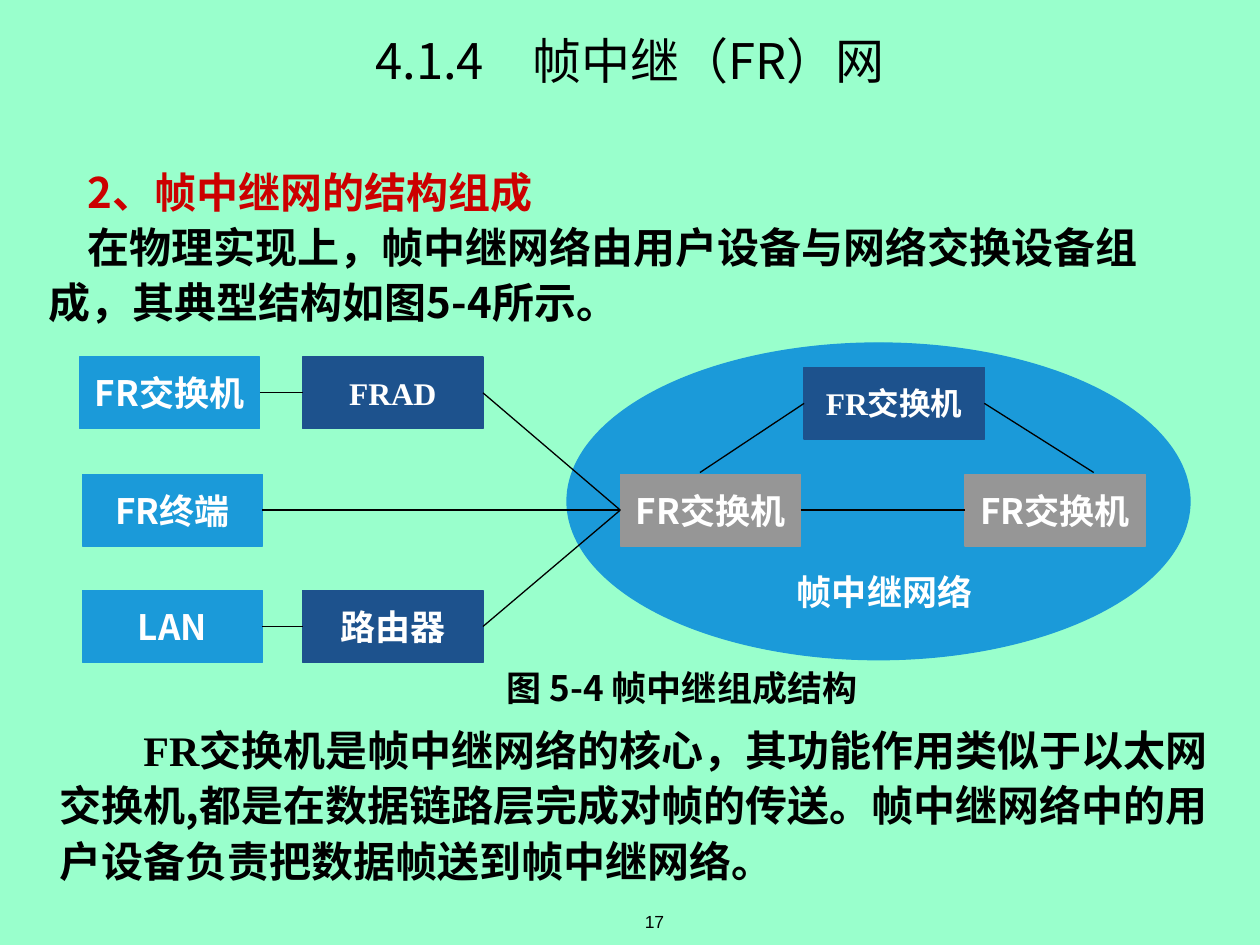
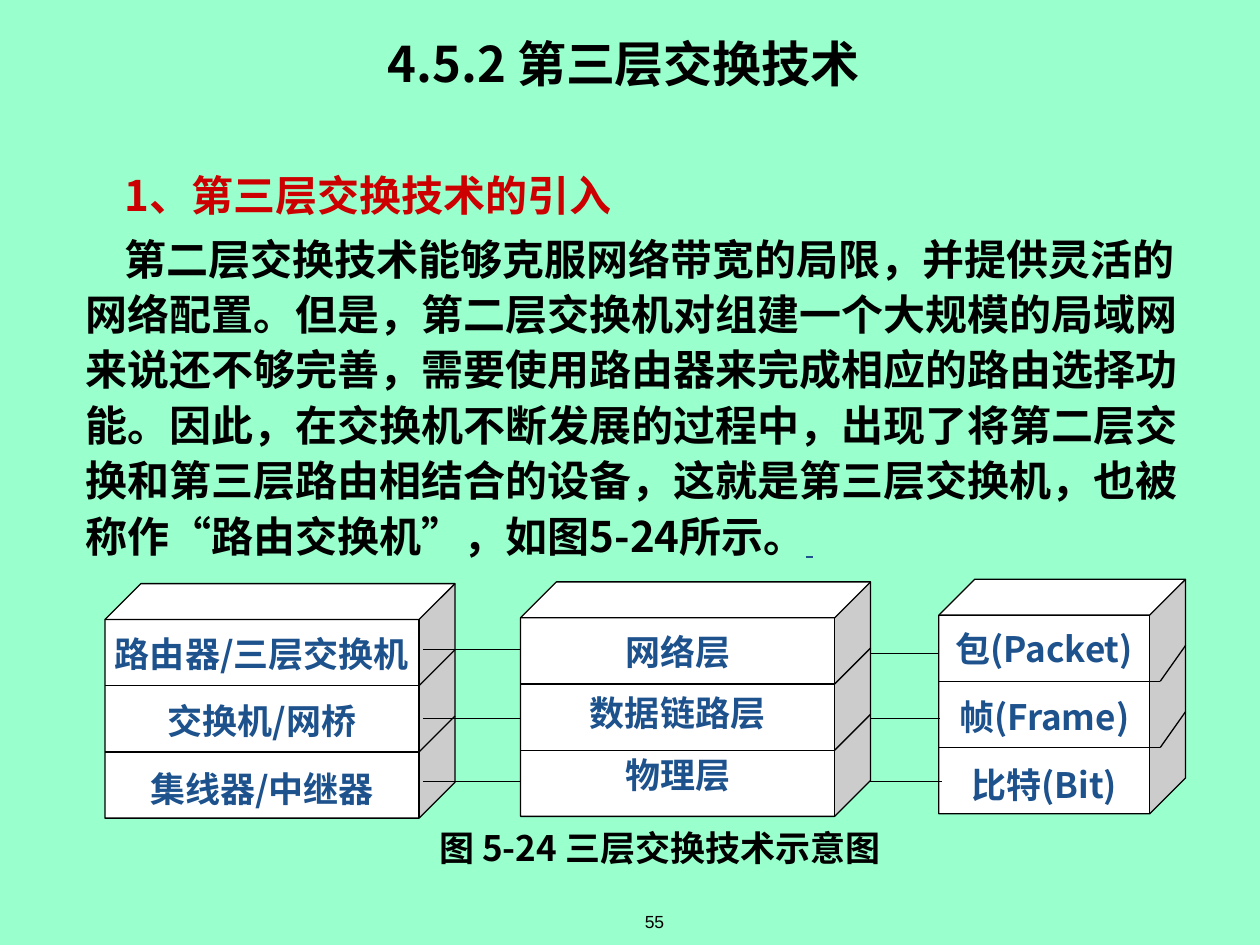
"""Builds two slides on frame relay networks and layer 3 switching."""
import pptx
import pptx.dml.color
import pptx.enum.shapes
import pptx.enum.text
import pptx.oxml.ns
import pptx.util
from lxml import etree

Pt = pptx.util.Pt
SHAPE = pptx.enum.shapes.MSO_SHAPE
ALIGN = pptx.enum.text.PP_ALIGN
ANCHOR = pptx.enum.text.MSO_ANCHOR
qn = pptx.oxml.ns.qn

MINT, BLACK, WHITE, RED = "99FFCC", "000000", "FFFFFF", "CC0000"
SKY, NAVY, GRAY = "1B9AD9", "1D528D", "969696"
SANS, SERIF, ARIAL = "Noto Sans CJK SC", "Times New Roman", "Arial"
HEADING_INDENT, ESSAY_INDENT = 22, 48

FR_TITLE = "4.1.4　帧中继（FR）网"
FR_INTRO = [
    ("2、帧中继网的结构组成", dict(color=RED)),
    ("在物理实现上，帧中继网络由用户设备与网络交换设备组成，其典型结构如图5-4所示。", {}),
]
FR_CAPTION = "图 5-4 帧中继组成结构"
FR_SUMMARY = [
    ("FR", dict(font=SERIF)),
    ("交换机是帧中继网络的核心，其功能作用类似于以太网交换机,都是在数据链路层完成对帧的传送。"
     "帧中继网络中的用户设备负责把数据帧送到帧中继网络。", {}),
]
CLOUD = (324, 196, 356, 181)
NODE_W, NODE_H = 103, 41
NODES = {
    "user": (45.5, 204, "FR交换机", SKY, {}),
    "frad": (173, 204, "FRAD", NAVY, dict(size=18, font=SERIF)),
    "terminal": (47, 271, "FR终端", SKY, {}),
    "lan": (47, 337.5, "LAN", SKY, {}),
    "router": (173, 337.5, "路由器", NAVY, {}),
    "entry": (354.5, 271, "FR交换机", GRAY, {}),
    "exit": (551.5, 271, "FR交换机", GRAY, {}),
    "top": (459.5, 210, "FR交换机", NAVY, dict(size=18, font=SERIF)),
}
SIDE_LINKS = [("user", "frad"), ("frad", "entry"), ("terminal", "entry"),
              ("lan", "router"), ("router", "entry"), ("entry", "exit")]
TOP_LINKS = [(1, 400, 270), (3, 625, 270)]

L3_TITLE = [("4.5.2 第三层交换技术", {}), (" ", dict(size=32))]
L3_HEADING = "1、第三层交换技术的引入"
L3_BODY = [
    ("第二层交换技术能够克服网络带宽的局限，并提供灵活的网络配置。但是，第二层交换机对组建一个"
     "大规模的局域网来说还不够完善，需要使用路由器来完成相应的路由选择功能。因此，在交换机不断"
     "发展的过程中，出现了将第二层交换和第三层路由相结合的设备，这就是第三层交换机，也被称作", {}),
    ("“", dict(font=ARIAL)),
    ("路由交换机", {}),
    ("”", dict(font=ARIAL)),
    ("，如图5-24所示。", {}),
    (" ", dict(size=18, font=ARIAL, color=NAVY, bold=False, underline=True)),
]
L3_CAPTION = "图 5-24 三层交换技术示意图"
CUBE_H, CUBE_DEPTH = 134, 0.153
DEVICES = (60, 333.5, 200, 0,
           [("路由器/三层交换机", 7.5), ("交换机/网桥", 7.5), ("集线器/中继器", 7.5)])
LAYERS = (297.5, 332.5, 200, 0, [("网络层", 3), ("数据链路层", 4), ("物理层", 4)])
UNITS = (536.5, 331, 141, 6, [("包(Packet)", 10), ("帧(Frame)", 7.5), ("比特(Bit)", 7.5)])
LINK_W = 70
LAYER_LINKS = [(242, 371), (242, 410.5), (242, 446.5),
               (466, 373.5), (467, 410.5), (468.5, 446.5)]


def rgb(code):
    return pptx.dml.color.RGBColor.from_string(code)


def write(s, text, size=20, font=SANS, color=BLACK, bold=True, underline=None,
          align=ALIGN.LEFT, spacing=1.0, before=0, indent=0):
    tf = s.text_frame
    p = tf.paragraphs[0] if not tf.paragraphs[0].runs else tf.add_paragraph()
    p.alignment, p.line_spacing, p.space_before = align, spacing, Pt(before)
    p._p.get_or_add_pPr().set("indent", str(Pt(indent)))
    base = dict(size=size, font=font, color=color, bold=bold, underline=underline)
    for part, changes in [(text, {})] if isinstance(text, str) else text:
        look = {**base, **changes}
        r = p.add_run()
        r.text = part
        r.font.name, r.font.size = look["font"], Pt(look["size"])
        r.font.bold, r.font.underline = look["bold"], look["underline"]
        r.font.color.rgb = rgb(look["color"])
        etree.SubElement(r._r.get_or_add_rPr(), qn("a:ea")).set("typeface", SANS)


def frame(s, anchor, wrap=True):
    tf = s.text_frame
    tf.word_wrap, tf.vertical_anchor = wrap, anchor
    tf.margin_left = tf.margin_right = tf.margin_top = tf.margin_bottom = 0


def box(slide, place, anchor=ANCHOR.TOP, wrap=True):
    s = slide.shapes.add_textbox(*map(Pt, place))
    frame(s, anchor, wrap)
    return s


def shape(slide, kind, place, fill, line, anchor=ANCHOR.MIDDLE):
    s = slide.shapes.add_shape(kind, *map(Pt, place))
    s.shadow.inherit = False
    s.fill.solid()
    s.fill.fore_color.rgb = rgb(fill)
    s.line.color.rgb = rgb(line)
    s.line.width = Pt(0.75)
    frame(s, anchor)
    return s


def connect(slide, x1=0, y1=0, x2=0, y2=0):
    c = slide.shapes.add_connector(pptx.enum.shapes.MSO_CONNECTOR.STRAIGHT,
                                   Pt(x1), Pt(y1), Pt(x2), Pt(y2))
    c.line.color.rgb = rgb(BLACK)
    c.line.width = Pt(0.75)
    etree.SubElement(c._element.spPr, qn("a:effectLst"))
    return c


def new_slide(prs, title, number, bold):
    slide = prs.slides.add_slide(prs.slide_layouts[6])
    slide.background.fill.solid()
    slide.background.fill.fore_color.rgb = rgb(MINT)
    write(box(slide, (0, 12, 720, 45), ANCHOR.MIDDLE), title,
          size=28, bold=bold, align=ALIGN.CENTER)
    write(box(slide, (297.5, 513.5, 153, 26), ANCHOR.MIDDLE, False), number,
          size=10, font=ARIAL, bold=False, align=ALIGN.CENTER)
    return slide


def cube(slide, x, y, w, overhang, layers):
    s = shape(slide, SHAPE.CUBE, (x, y, w, CUBE_H), WHITE, BLACK, ANCHOR.TOP)
    s.adjustments[0] = CUBE_DEPTH
    for text, before in layers:
        write(s, text, color=NAVY, align=ALIGN.CENTER, spacing=1.3, before=before)
    depth = CUBE_DEPTH * CUBE_H
    edge = x + w - depth + overhang
    for i in (1, 2):
        level = y + depth + i * (CUBE_H - depth) / 3
        connect(slide, x, level, edge, level)
        connect(slide, edge, level, x + w, level - depth)


def frame_relay_slide(prs):
    slide = new_slide(prs, FR_TITLE, "17", False)
    write(box(slide, (289.5, 383, 244, 20), ANCHOR.MIDDLE), FR_CAPTION)
    shape(slide, SHAPE.OVAL, CLOUD, SKY, SKY)
    write(box(slide, (447, 327, 117, 22), ANCHOR.MIDDLE), "帧中继网络",
          font=SERIF, color=WHITE, align=ALIGN.CENTER)
    nodes = {}
    for name, (x, y, text, fill, look) in NODES.items():
        nodes[name] = shape(slide, SHAPE.RECTANGLE, (x, y, NODE_W, NODE_H), fill, fill)
        write(nodes[name], text, color=WHITE, align=ALIGN.CENTER, **look)
    for start, end in SIDE_LINKS:
        c = connect(slide)
        c.begin_connect(nodes[start], 3)
        c.end_connect(nodes[end], 1)
    for side, x, y in TOP_LINKS:
        connect(slide, x2=x, y2=y).begin_connect(nodes["top"], side)
    intro = box(slide, (28, 92, 640, 95))
    for text, look in FR_INTRO:
        write(intro, text, size=24, spacing=1.1, indent=HEADING_INDENT, **look)
    write(box(slide, (34, 411, 664, 95)), FR_SUMMARY, size=24, spacing=1.1,
          indent=ESSAY_INDENT)


def layer3_slide(prs):
    slide = new_slide(prs, L3_TITLE, "55", True)
    body = box(slide, (49, 97, 644, 223))
    write(body, L3_HEADING, size=24, color=RED, indent=HEADING_INDENT)
    write(body, L3_BODY, size=24, spacing=1.1, before=4.5, indent=HEADING_INDENT)
    cube(slide, *DEVICES)
    cube(slide, *UNITS)
    for x, y in LAYER_LINKS:
        connect(slide, x, y, x + LINK_W, y)
    cube(slide, *LAYERS)
    write(box(slide, (251, 472, 300, 27)), L3_CAPTION)


def main():
    prs = pptx.Presentation()
    prs.slide_width, prs.slide_height = Pt(720), Pt(540)
    frame_relay_slide(prs)
    layer3_slide(prs)
    prs.save("out.pptx")


if __name__ == "__main__":
    main()
